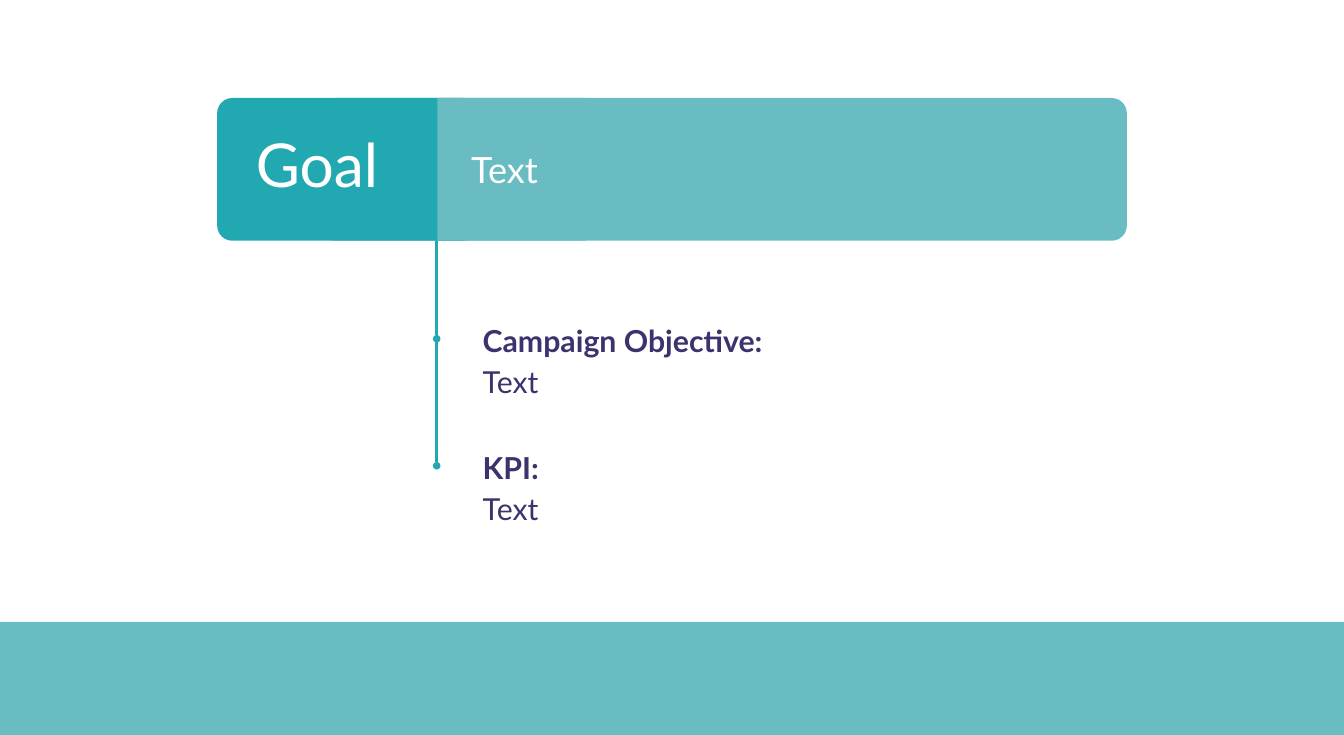
from dataclasses import dataclass
from lxml import etree
from pptx import Presentation
from pptx.dml.color import RGBColor
from pptx.enum import shapes, text
from pptx.oxml import ns
from pptx.util import Inches, Pt


@dataclass(frozen=True)
class Theme:
    font: str = "Lato"
    teal: RGBColor = RGBColor(0x21, 0xA8, 0xB0)
    pale_teal: RGBColor = RGBColor(0x69, 0xBC, 0xC1)
    ink: RGBColor = RGBColor(0x3B, 0x33, 0x6E)
    white: RGBColor = RGBColor(0xFF, 0xFF, 0xFF)
    goal_size: int = 72
    goal_text_size: int = 43
    detail_size: int = 36
    stem_width: int = 3


theme = Theme()


def add_panel(kind, left, top, width, height, color):
    panel = slide.shapes.add_shape(
        kind, Inches(left), Inches(top), Inches(width), Inches(height))
    panel.shadow.inherit = False
    panel.fill.solid()
    panel.fill.fore_color.rgb = color
    panel.line.fill.background()
    return panel


def write(box, lines, size, color, inset):
    frame = box.text_frame
    frame.text = "\n".join(lines)
    frame.word_wrap = True
    frame.auto_size = text.MSO_AUTO_SIZE.NONE
    frame.vertical_anchor = text.MSO_ANCHOR.MIDDLE
    frame.margin_left = frame.margin_right = Inches(inset)
    frame.margin_top = frame.margin_bottom = Inches(inset)
    for paragraph in frame.paragraphs:
        paragraph.alignment = text.PP_ALIGN.LEFT
        for run in paragraph.runs:
            run.font.name = theme.font
            run.font.size = Pt(size)
            run.font.color.rgb = color
    return frame


deck = Presentation()
deck.slide_width, deck.slide_height = Inches(22.22), Inches(12.15)
slide = deck.slides.add_slide(deck.slide_layouts.get_by_name("Title Only"))

# Footer band
add_panel(shapes.MSO_SHAPE.RECTANGLE, 0, 10.28, 22.22, 1.87, theme.pale_teal)

# Stem with one dot per detail, and the details beside it
stem_x, stem_top, step = 7.22, 3.5, 2.1
details = ["Campaign Objective:", "KPI:"]
for row, heading in enumerate(details):
    start = stem_top + row * step
    end = start + step
    stem = slide.shapes.add_connector(
        shapes.MSO_CONNECTOR.STRAIGHT,
        Inches(stem_x), Inches(start), Inches(stem_x), Inches(end))
    stem.line.color.rgb = theme.teal
    stem.line.width = Pt(theme.stem_width)
    etree.SubElement(stem.line._get_or_add_ln(), ns.qn("a:tailEnd"), type="oval")
    etree.SubElement(stem.element.spPr, ns.qn("a:effectLst"))

    detail = slide.shapes.add_textbox(
        Inches(7.76), Inches(end - 0.43), Inches(6.92), Inches(1.5))
    frame = write(detail, [heading, "Text"], theme.detail_size, theme.ink, 0.22)
    for paragraph in frame.paragraphs:
        paragraph.line_spacing = 1.15
    frame.paragraphs[0].runs[0].font.bold = True

# Goal banner: rounded outer ends, straight seam in the middle
banner_top, banner_height = 1.62, 2.36
for left, width, color in [(5.31, 13.32, theme.pale_teal), (3.59, 4.31, theme.teal)]:
    end_panel = add_panel(shapes.MSO_SHAPE.ROUNDED_RECTANGLE,
                          left, banner_top, width, banner_height, color)
    end_panel.adjustments[0] = 0.106
add_panel(shapes.MSO_SHAPE.RECTANGLE, 7.23, banner_top, 2.46, banner_height,
          theme.pale_teal)

# Goal text
goal_text = slide.shapes.add_textbox(
    Inches(7.57), Inches(1.71), Inches(10.87), Inches(2.16))
write(goal_text, ["Text"], theme.goal_text_size, theme.white, 0.22)

# Title, brought in front of the banner
goal = slide.shapes.title
goal.left, goal.top = Inches(4.13), Inches(1.64)
goal.width, goal.height = Inches(2.62), Inches(2.13)
write(goal, ["Goal"], theme.goal_size, theme.white, 0.1)
goal.element.getparent().append(goal.element)

deck.save("out.pptx")
